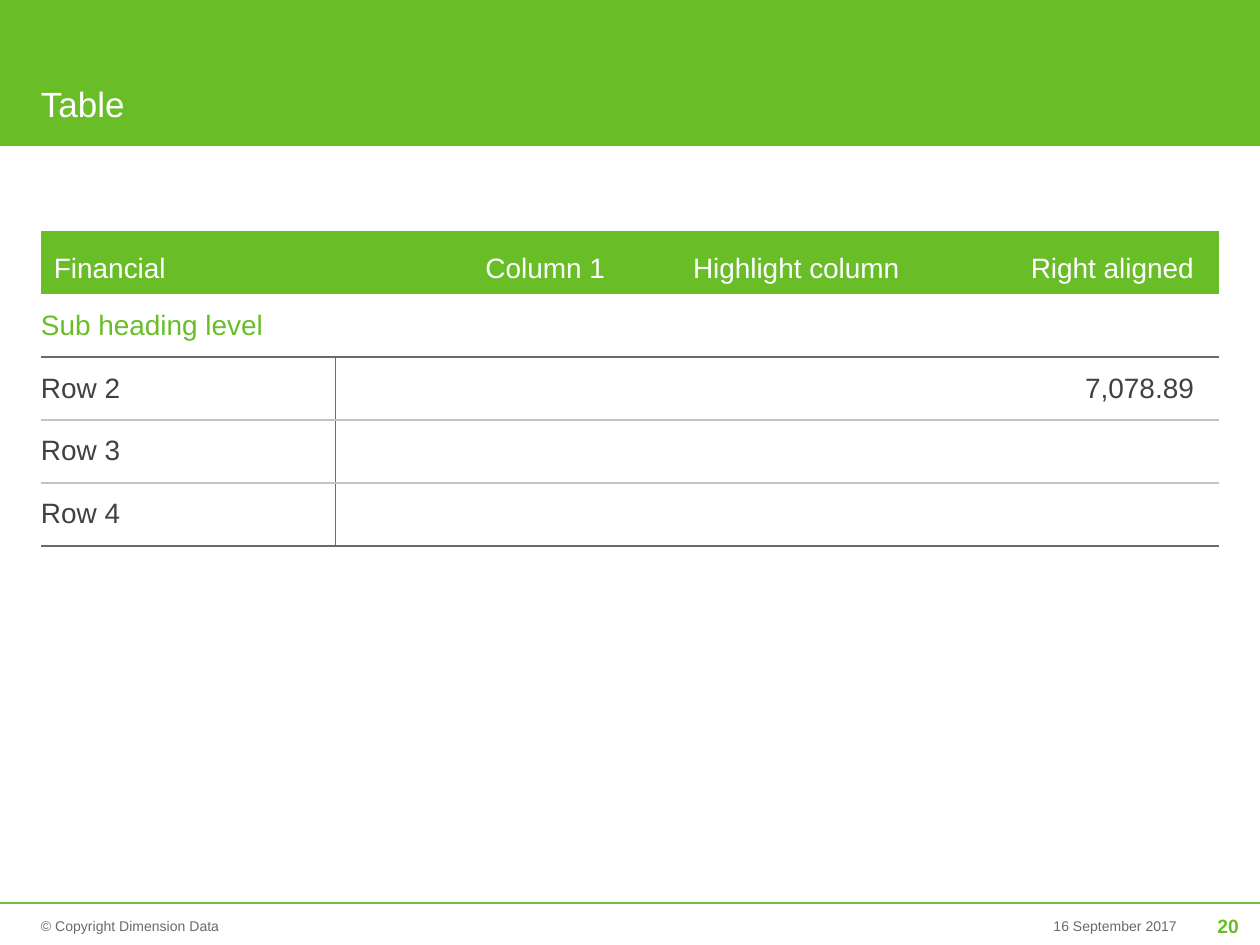
"""Build the "Table" slide: green title band, financial table and footer."""
from dataclasses import dataclass

from lxml.etree import SubElement
from pptx import Presentation
from pptx.dml.color import RGBColor
from pptx.enum.shapes import MSO_CONNECTOR, MSO_SHAPE
from pptx.enum.text import MSO_ANCHOR as ANCHOR, MSO_AUTO_SIZE, PP_ALIGN as ALIGN
from pptx.oxml.ns import qn
from pptx.util import Emu, Pt

PX = 914400 // 126


@dataclass(frozen=True)
class Theme:
    font: str = "Arial"
    green: str = "69BE28"
    rule: str = "72BF44"
    white: str = "FFFFFF"
    ink: str = "414141"
    grey: str = "6A6A6A"
    light: str = "C3C3C3"
    title: int = 20
    body: int = 16
    number: int = 11
    small: int = 8


T = Theme()
rgb = RGBColor.from_string


def write(tf, text, size=T.body, color=T.ink, bold=False, align=ALIGN.LEFT, spacing=None, after=0):
    p = tf.paragraphs[0]
    p.alignment = align
    p.line_spacing = spacing
    p.space_before, p.space_after = Pt(0), Pt(after)
    r = p.add_run()
    r.text = text
    r.font.name, r.font.size, r.font.bold = T.font, Pt(size), bold
    r.font.color.rgb = rgb(color)
    return p


def set_border(cell, side, color):
    ln = SubElement(cell._tc.get_or_add_tcPr(), qn(f"a:ln{side}"), w=str(Pt(1)))
    if color:
        fill = SubElement(ln, qn("a:solidFill"))
        SubElement(fill, qn("a:srgbClr"), val=color)
    else:
        SubElement(ln, qn("a:noFill"))


prs = Presentation()
prs.slide_width, prs.slide_height = Emu(1260 * PX), Emu(945 * PX)
s = prs.slides.add_slide(prs.slide_layouts[5])

band = s.shapes.add_shape(MSO_SHAPE.RECTANGLE, 0, 0, prs.slide_width, 146 * PX)
band.shadow.inherit = False
band.fill.solid()
band.fill.fore_color.rgb = rgb(T.green)
band.line.fill.background()

title = s.shapes.title
s.shapes._spTree.append(title._element)
title.left, title.top, title.width, title.height = [Emu(n * PX) for n in (41, 10, 883, 115)]
tf = title.text_frame
tf.margin_left = tf.margin_top = tf.margin_right = tf.margin_bottom = 0
tf.auto_size = MSO_AUTO_SIZE.NONE
tf.word_wrap = True
tf.vertical_anchor = ANCHOR.BOTTOM
write(tf, "Table", size=T.title, color=T.white, spacing=1.2, after=2)

rows = [
    ["Financial", "Column 1", "Highlight column", "Right aligned"],
    ["Sub heading level", "", "", ""],
    ["Row 2", "", "", "7,078.89"],
    ["Row 3", "", "", ""],
    ["Row 4", "", "", ""],
]
text_colors = [T.white, T.green, T.ink, T.ink, T.ink]
row_rules = [None, T.grey, T.light, T.light, T.grey]

table = s.shapes.add_table(5, 4, 41 * PX, 231 * PX, 1178 * PX, 5 * 63 * PX).table
table.cell(1, 0).merge(table.cell(1, 3))
for i, texts in enumerate(rows):
    header = i == 0
    for j, text in enumerate(texts):
        cell = table.cell(i, j)
        divider = T.grey if i > 1 else None
        set_border(cell, "L", divider if j == 1 else None)
        set_border(cell, "R", divider if j == 0 else None)
        set_border(cell, "T", None if header else row_rules[i - 1])
        set_border(cell, "B", row_rules[i])
        cell.fill.solid()
        cell.fill.fore_color.rgb = rgb(T.green if header else T.white)
        cell.vertical_anchor = ANCHOR.BOTTOM if header else ANCHOR.MIDDLE
        cell.margin_left = 0
        cell.margin_right = 25 * PX if j else 0
        cell.margin_top = 5 * PX
        cell.margin_bottom = (10 if header else 5) * PX
        if text:
            p = write(cell.text_frame, text, color=text_colors[i],
                      align=ALIGN.RIGHT if j else ALIGN.LEFT)
            if header and j == 0:
                p._p.get_or_add_pPr().set("marL", str(13 * PX))

line = s.shapes.add_connector(MSO_CONNECTOR.STRAIGHT, 0, 903 * PX, prs.slide_width, 903 * PX)
line.line.color.rgb = rgb(T.rule)
line.line.width = Pt(1.5)
SubElement(line._element.spPr, qn("a:effectLst"))

footers = [
    ("© Copyright Dimension Data", 41, 590, True, dict(size=T.small, color=T.grey)),
    ("16 September 2017", 945, 232, True, dict(size=T.small, color=T.grey, align=ALIGN.RIGHT)),
    ("20", 1187, 52, False, dict(size=T.number, color=T.green, bold=True, align=ALIGN.RIGHT)),
]
for text, x, w, wrap, style in footers:
    tf = s.shapes.add_textbox(x * PX, 904 * PX, w * PX, 42 * PX).text_frame
    tf.margin_left = tf.margin_top = tf.margin_right = tf.margin_bottom = 0
    tf.word_wrap = wrap
    tf.vertical_anchor = ANCHOR.MIDDLE
    write(tf, text, spacing=1.1, **style)

prs.save("out.pptx")
